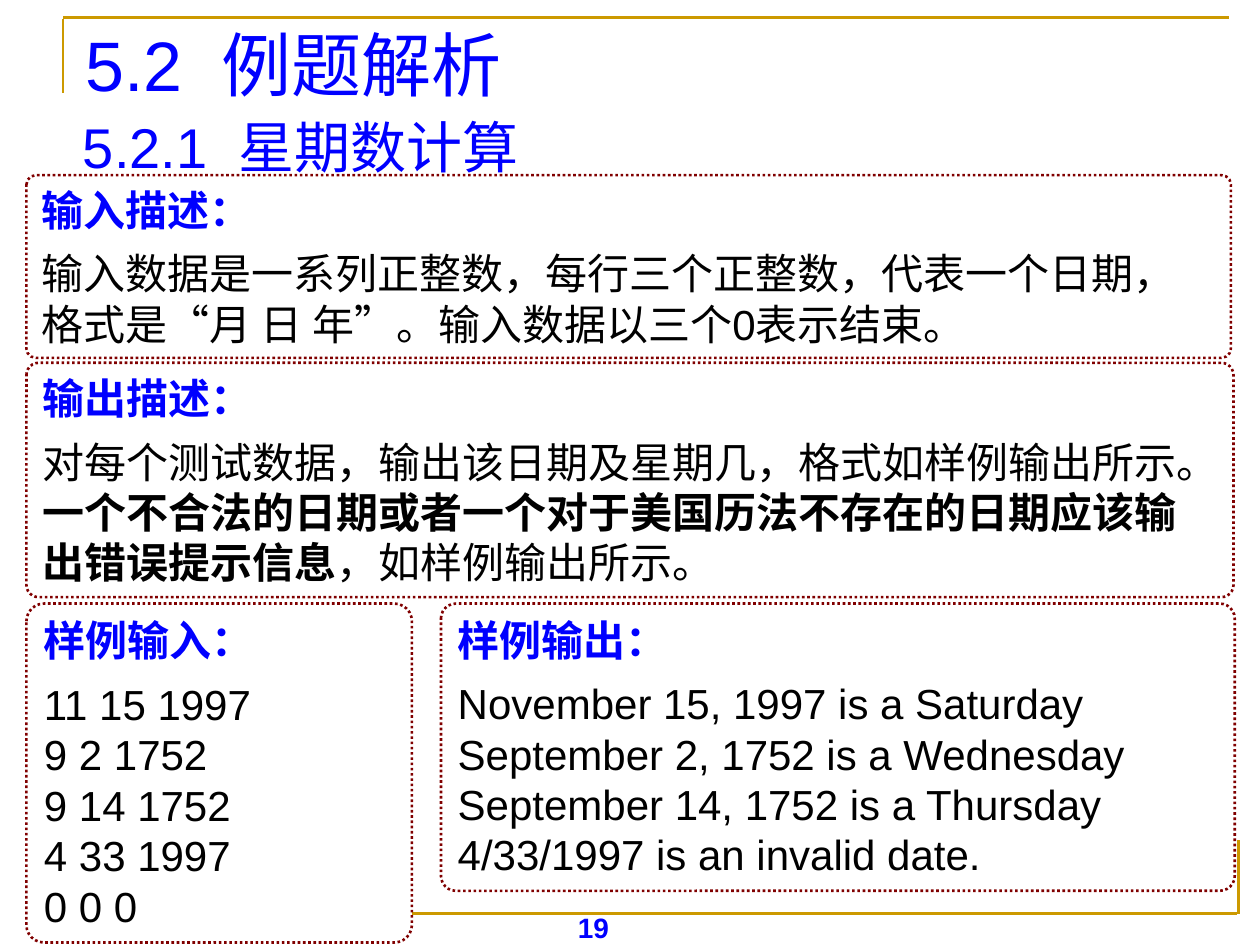
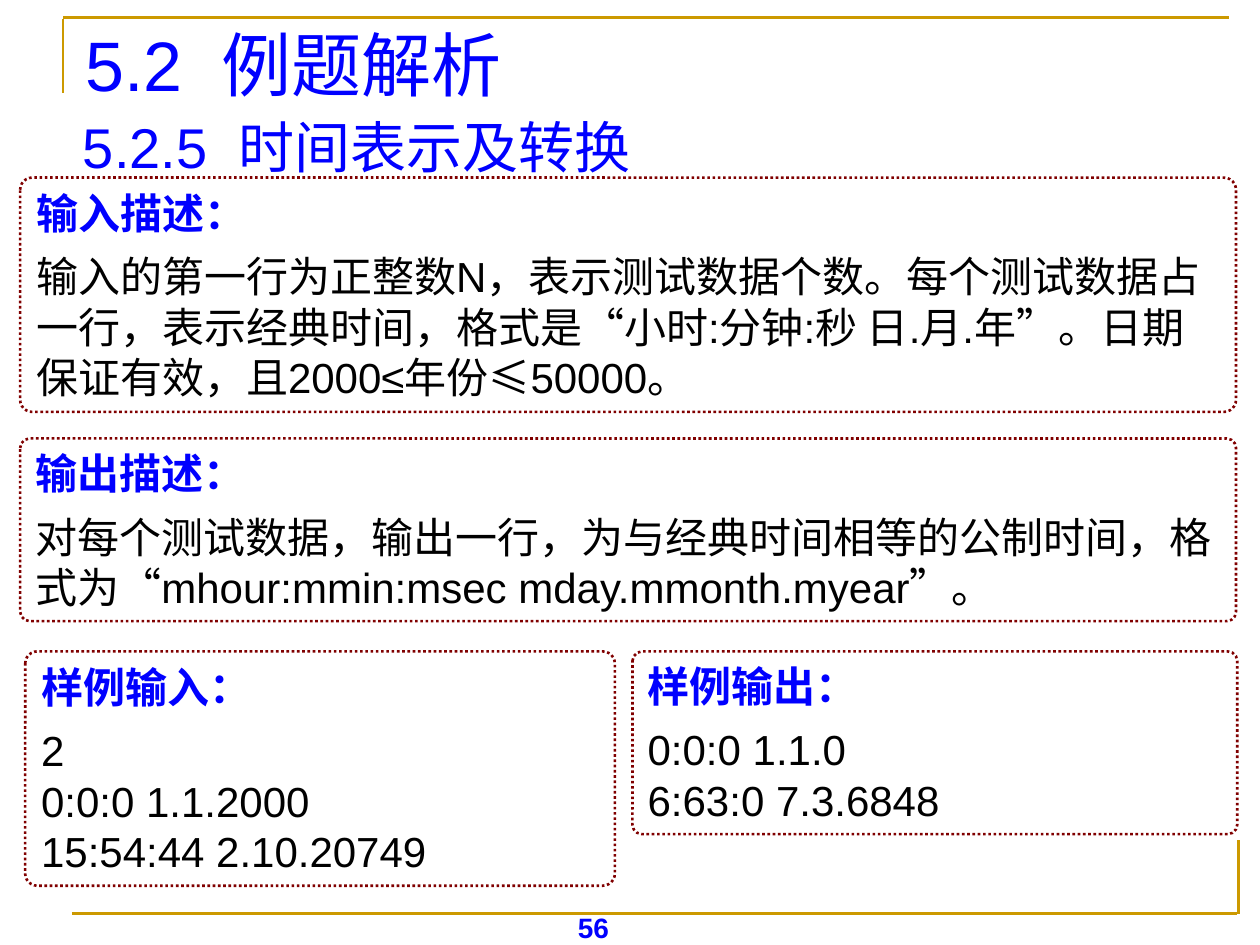
import dataclasses
import typing

import lxml.etree
import pptx
import pptx.dml.color
import pptx.enum.dml
import pptx.enum.lang
import pptx.enum.shapes
import pptx.enum.text
import pptx.oxml.ns
import pptx.util

Pt = pptx.util.Pt
RGB = pptx.dml.color.RGBColor
Box = tuple[float, float, float, float]


# Shared look
@dataclasses.dataclass(frozen=True)
class Theme:
    font: str = "Arial"
    blue: RGB = RGB(0x00, 0x00, 0xFF)
    black: RGB = RGB(0x00, 0x00, 0x00)
    white: RGB = RGB(0xFF, 0xFF, 0xFF)
    gold: RGB = RGB(0xCC, 0x99, 0x00)
    wine: RGB = RGB(0x80, 0x00, 0x00)
    title: float = 40
    topic: float = 32
    body: float = 24
    page: float = 16
    line: float = 1.5
    after: float = 7.5
    round: float = 0.052


THEME = Theme()
WIDTH, HEIGHT = 720, 540
RULES: list[Box] = [  # x1, y1, x2, y2
    (36, 10.8, 36, 53.28),
    (36, 10.08, 702, 10.08),
    (707.76, 480.24, 707.76, 522),
    (41.04, 522, 707.04, 522),
]
PAGE_BOX: Box = (264.24, 516.96, 149.76, 18)
TITLE_BOX: Box = (41.76, 12.24, 653.76, 48.24)
TOPIC_BOX: Box = (40.32, 60.48, 655.92, 465.12)


@dataclasses.dataclass(frozen=True)
class Card:
    """A headed panel; ** in its lines switches bold on and off."""
    box: Box
    head: str
    lines: tuple[str, ...]
    gap: float = 0  # space after each line


@dataclasses.dataclass(frozen=True)
class Page:
    number: str
    topic: tuple[str, str]
    cards: tuple[Card, ...]


# Content
TITLE = ("5.2", "例题解析")
PAGES = [
    Page("19", ("5.2.1", "星期数计算"), (
        Card((15.12, 100.08, 688.32, 104.4), "输入描述：", (
            "输入数据是一系列正整数，每行三个正整数，代表一个日期，"
            "格式是“月 日 年”。输入数据以三个0表示结束。",), THEME.after),
        Card((15.12, 207.36, 689.76, 133.92), "输出描述：", (
            "对每个测试数据，输出该日期及星期几，格式如样例输出所示。"
            "**一个不合法的日期或者一个对于美国历法不存在的日期应该输出错误提示信息**"
            "，如样例输出所示。",), THEME.after),
        Card((252, 344.88, 453.6, 164.16), "样例输出：", (
            "November 15, 1997 is a Saturday",
            "September 2, 1752 is a Wednesday",
            "September 14, 1752 is a Thursday",
            "4/33/1997 is an invalid date.")),
        Card((15.12, 344.88, 220.32, 193.68), "样例输入：", (
            "11 15 1997", "9 2 1752", "9 14 1752", "4 33 1997", "0 0 0")),
    )),
    Page("56", ("5.2.5", "时间表示及转换"), (
        Card((11.52, 101.52, 694.8, 133.92), "输入描述：", (
            "输入的第一行为正整数N，表示测试数据个数。每个测试数据占一行，"
            "表示经典时间，格式是“小时:分钟:秒 日.月.年”。"
            "日期保证有效，且2000≤年份≤50000。",), THEME.after),
        Card((11.52, 250.56, 694.8, 104.4), "输出描述：", (
            "对每个测试数据，输出一行，为与经典时间相等的公制时间，"
            "格式为“mhour:mmin:msec mday.mmonth.myear”。",), THEME.after),
        Card((361.44, 372.24, 345.6, 104.4), "样例输出：", (
            "0:0:0 1.1.0", "6:63:0 7.3.6848")),
        Card((14.4, 372.24, 336.96, 133.92), "样例输入：", (
            "2", "0:0:0 1.1.2000", "15:54:44 2.10.20749")),
    )),
]


# Helpers
def points(box: Box) -> list[pptx.util.Length]:
    return [Pt(v) for v in box]


def assign(item: typing.Any, values: dict[str, typing.Any]) -> None:
    for name, value in values.items():
        setattr(item, name, value)


def add_run(para: typing.Any, text: str, size: float, color: RGB,
            bold: bool = False) -> typing.Any:
    run = para.add_run()
    run.text = text
    assign(run.font, {
        "name": THEME.font, "size": Pt(size), "bold": bold,
        "language_id": pptx.enum.lang.MSO_LANGUAGE_ID.SIMPLIFIED_CHINESE})
    run.font.color.rgb = color
    return run


def set_frame(frame: typing.Any, anchor: typing.Any) -> None:
    assign(frame, {
        "word_wrap": True, "vertical_anchor": anchor,
        "margin_left": Pt(7.2), "margin_right": Pt(7.2),
        "margin_top": Pt(3.6), "margin_bottom": Pt(3.6)})


def add_text(slide: typing.Any, box: Box, anchor: typing.Any) -> typing.Any:
    frame = slide.shapes.add_textbox(*points(box)).text_frame
    set_frame(frame, anchor)
    return frame.paragraphs[0]


def add_label(para: typing.Any, label: tuple[str, str], size: float) -> None:
    """Number and name, parted by one space tracked to double width."""
    number, name = label
    add_run(para, number, size, THEME.blue)
    space = add_run(para, " ", size, THEME.blue)
    space.font._element.set("spc", str(round(size * 27.8)))
    add_run(para, name, size, THEME.blue)


# Parts of a slide
def draw_rule(slide: typing.Any, ends: Box) -> None:
    rule = slide.shapes.add_connector(
        pptx.enum.shapes.MSO_CONNECTOR.STRAIGHT, *points(ends))
    rule.line.color.rgb = THEME.gold
    rule.line.width = Pt(THEME.line)
    lxml.etree.SubElement(rule._element.spPr, pptx.oxml.ns.qn("a:effectLst"))


def draw_card(slide: typing.Any, card: Card) -> None:
    shape = slide.shapes.add_shape(
        pptx.enum.shapes.MSO_SHAPE.ROUNDED_RECTANGLE, *points(card.box))
    shape.shadow.inherit = False
    shape.adjustments[0] = THEME.round
    shape.fill.solid()
    shape.fill.fore_color.rgb = THEME.white
    shape.line.color.rgb = THEME.wine
    assign(shape.line, {
        "width": Pt(THEME.line),
        "dash_style": pptx.enum.dml.MSO_LINE.ROUND_DOT})

    frame = shape.text_frame
    set_frame(frame, pptx.enum.text.MSO_ANCHOR.TOP)
    frame.auto_size = pptx.enum.text.MSO_AUTO_SIZE.SHAPE_TO_FIT_TEXT
    left = pptx.enum.text.PP_ALIGN.LEFT
    head = frame.paragraphs[0]
    assign(head, {"alignment": left, "space_after": Pt(THEME.after)})
    add_run(head, card.head, THEME.body, THEME.blue, True)
    for line in card.lines:
        para = frame.add_paragraph()
        assign(para, {"alignment": left, "space_after": Pt(card.gap)})
        for i, part in enumerate(line.split("**")):
            add_run(para, part, THEME.body, THEME.black, i % 2 == 1)


def draw_page(deck: typing.Any, page: Page) -> None:
    slide = deck.slides.add_slide(deck.slide_layouts[6])
    anchor = pptx.enum.text.MSO_ANCHOR
    # Frame and page number
    for ends in RULES:
        draw_rule(slide, ends)
    para = add_text(slide, PAGE_BOX, anchor.TOP)
    para.alignment = pptx.enum.text.PP_ALIGN.CENTER
    add_run(para, page.number, THEME.page, THEME.blue, True)
    # Headings
    add_label(add_text(slide, TITLE_BOX, anchor.MIDDLE), TITLE, THEME.title)
    add_label(add_text(slide, TOPIC_BOX, anchor.TOP), page.topic, THEME.topic)
    # Panels
    for card in page.cards:
        draw_card(slide, card)


def main() -> None:
    deck = pptx.Presentation()
    assign(deck, {"slide_width": Pt(WIDTH), "slide_height": Pt(HEIGHT)})
    for page in PAGES:
        draw_page(deck, page)
    deck.save("out.pptx")


if __name__ == "__main__":
    main()
